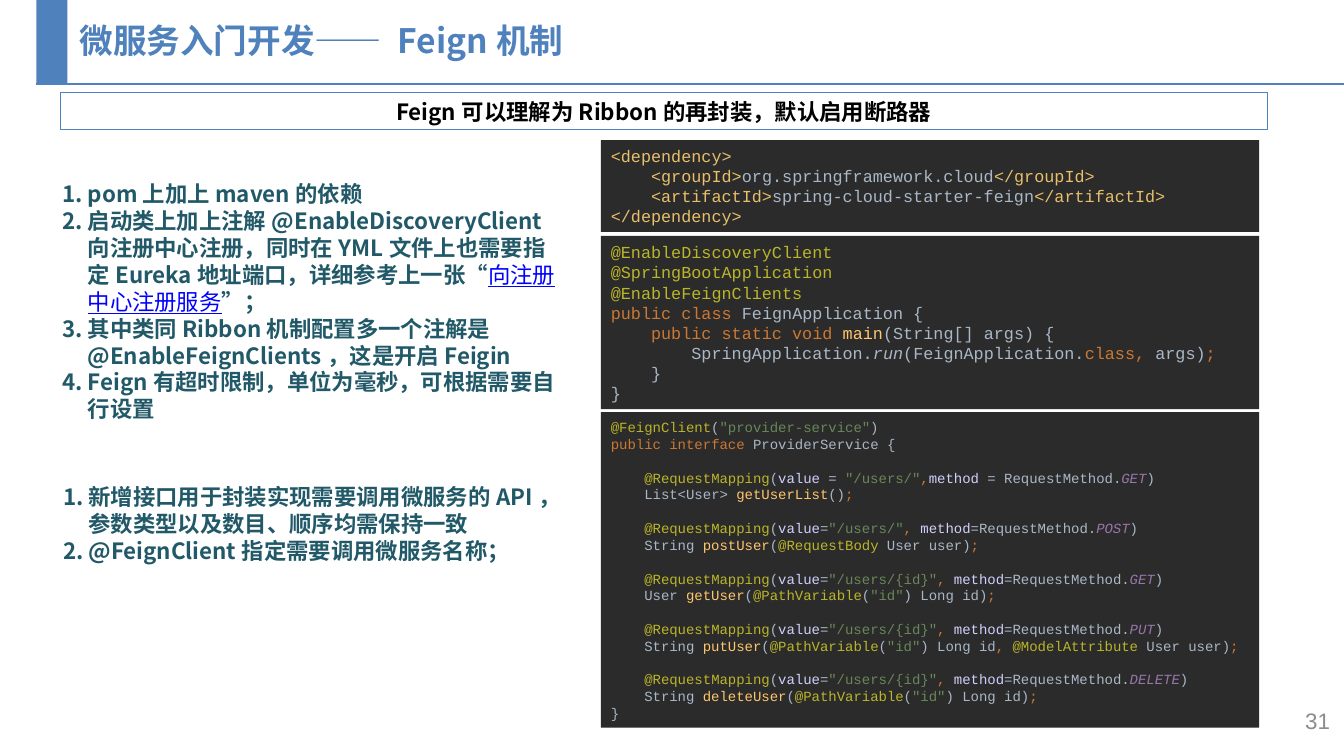
import pptx
import pptx.util
import pptx.dml.color
import pptx.enum.shapes
import pptx.enum.text
import pptx.oxml.ns
import lxml.etree

Inches = pptx.util.Inches
ALIGN = pptx.enum.text.PP_ALIGN
ANCHOR = pptx.enum.text.MSO_ANCHOR
SHAPE = pptx.enum.shapes.MSO_SHAPE
qn = pptx.oxml.ns.qn

COLORS = {"accent": "4F81BD", "page": "8C8C8C", "black": "000000", "white": "FFFFFF",
          "step": "215968", "link": "0000FF", "editor": "2B2B2B"}
# Code colours, keyed by the letter that follows "~" in the listings
SYNTAX = {"t": "E8BF6A", "p": "A9B7C6", "i": "A9B7C6", "a": "BBB529", "k": "CC7832",
          "f": "FFC66D", "s": "6A8759", "v": "D0D0FF", "c": "9876AA"}
ITALIC = "ic"
CJK, SANS, MONO = "Noto Sans CJK SC", "Arial", "Courier New"

# Content
TITLE = "微服务入门开发—— Feign机制"
SUMMARY = "Feign可以理解为Ribbon的再封装，默认启用断路器"
PAGE = "31"

# "|" encloses linked words
SETUP_STEPS = [
    "pom上加上maven的依赖",
    "启动类上加上注解@EnableDiscoveryClient向注册中心注册，同时在YML文件上也需要指定"
    "Eureka地址端口，详细参考上一张“|向注册中心注册服务|”；",
    "其中类同Ribbon机制配置多一个注解是@EnableFeignClients，这是开启Feigin",
    "Feign有超时限制，单位为毫秒，可根据需要自行设置",
]
CLIENT_STEPS = [
    "新增接口用于封装实现需要调用微服务的API，参数类型以及数目、顺序均需保持一致",
    "@FeignClient指定需要调用微服务名称；",
]
STEP_LISTS = [((0.57, 1.55, 5.04, 2.88), SETUP_STEPS),
              ((0.58, 4.22, 5.04, 1.95), CLIENT_STEPS)]

DEPENDENCY = [
    "~t<dependency>",
    "~t    <groupId>~porg.springframework.cloud~t</groupId>",
    "~t    <artifactId>~pspring-cloud-starter-feign~t</artifactId>",
    "~t</dependency>",
]
APPLICATION = [
    "~a@EnableDiscoveryClient",
    "~a@SpringBootApplication",
    "~a@EnableFeignClients",
    "~kpublic class ~pFeignApplication {",
    "~k    public static void ~fmain~p(String[] args) {",
    "~p        SpringApplication.~irun~p(FeignApplication.~kclass, ~pargs)~k;",
    "~p    }",
    "~p}",
]
ID_ARG = '~a@PathVariable~p(~s"id"~p) Long id'
# Spaced or tight mapping, URL, verb, return type, method, arguments
ENDPOINTS = [
    ("~vvalue ~p= {}~k,~vmethod ~p= ", "/users/", "GET", "List<User>", "getUserList", ""),
    ("~vvalue~p={}~k, ~vmethod~p=", "/users/", "POST", "String", "postUser",
     "~a@RequestBody ~pUser user"),
    ("~vvalue~p={}~k, ~vmethod~p=", "/users/{id}", "GET", "User", "getUser", ID_ARG),
    ("~vvalue~p={}~k, ~vmethod~p=", "/users/{id}", "PUT", "String", "putUser",
     ID_ARG + "~k, ~a@ModelAttribute ~pUser user"),
    ("~vvalue~p={}~k, ~vmethod~p=", "/users/{id}", "DELETE", "String", "deleteUser", ID_ARG),
]
SERVICE = ['~a@FeignClient~p(~s"provider-service"~p)',
           "~kpublic interface ~pProviderService {"]
for mapping, url, verb, result, method, arguments in ENDPOINTS:
    settings = mapping.format(f'~s"{url}"')
    SERVICE += ["",
                f"~a    @RequestMapping~p({settings}RequestMethod.~c{verb}~p)",
                f"~p    {result} ~f{method}~p({arguments}~p)~k;"]
SERVICE.append("~p}")

# Top, height, text size, lines
LISTINGS = [(1.39, 0.91, 12, DEPENDENCY),
            (2.34, 1.72, 12, APPLICATION),
            (4.09, 3.13, 10, SERVICE)]
LISTING_LEFT, LISTING_WIDTH = 5.96, 6.53


def rgb(color):
    return pptx.dml.color.RGBColor.from_string(color)


def style(font, name, size, color, bold=False):
    font.name, font.size, font.bold = name, pptx.util.Pt(size), bold
    font.color.rgb = rgb(color)
    if name == CJK:
        latin = font._element.find(qn("a:latin"))
        east_asian = lxml.etree.Element(qn("a:ea"), typeface=name)
        latin.addnext(east_asian)


def prepare(frame, anchor=ANCHOR.TOP):
    frame.word_wrap = True
    frame.vertical_anchor = anchor
    return frame


def add_text(box, anchor=ANCHOR.TOP):
    return prepare(slide.shapes.add_textbox(*map(Inches, box)).text_frame, anchor)


def add_box(box, fill=None, line=None):
    shape = slide.shapes.add_shape(SHAPE.RECTANGLE, *map(Inches, box))
    shape.shadow.inherit = False
    if fill:
        shape.fill.solid()
        shape.fill.fore_color.rgb = rgb(fill)
    else:
        shape.fill.background()
    if line:
        shape.line.color.rgb = rgb(line)
        shape.line.width = pptx.util.Pt(0.75)
    else:
        shape.line.fill.background()
    return shape


def add_steps(box, steps):
    frame = add_text(box, ANCHOR.MIDDLE)
    frame.margin_left = frame.margin_right = Inches(0.05)
    frame.margin_top = frame.margin_bottom = Inches(0.04)
    for number, step in enumerate(steps):
        paragraph = frame.add_paragraph() if number else frame.paragraphs[0]
        properties = paragraph._p.get_or_add_pPr()
        properties.set("marL", str(Inches(0.25)))
        properties.set("indent", str(Inches(-0.25)))
        lxml.etree.SubElement(properties, qn("a:buAutoNum"), type="arabicPeriod")
        style(paragraph.font, CJK, 16, COLORS["step"], True)
        for part, words in enumerate(step.split("|")):
            run = paragraph.add_run()
            run.text = words
            if part % 2:
                style(run.font, SANS, 16, COLORS["link"])
                run.font.underline = True


def add_listing(top, height, size, lines):
    box = add_box((LISTING_LEFT, top, LISTING_WIDTH, height), COLORS["editor"])
    paragraph = prepare(box.text_frame, ANCHOR.MIDDLE).paragraphs[0]
    paragraph.alignment = ALIGN.LEFT
    style(paragraph.font, MONO, size, SYNTAX["p"])
    for number, line in enumerate(lines):
        if number:
            paragraph.add_line_break()
        for token in line.split("~")[1:]:
            if len(token) > 1:
                run = paragraph.add_run()
                run.text = token[1:]
                run.font.color.rgb = rgb(SYNTAX[token[0]])
                if token[0] in ITALIC:
                    run.font.italic = True
    # Line breaks carry the text size so that empty lines keep their height
    for line_break in paragraph._p.findall(qn("a:br")):
        properties = lxml.etree.SubElement(line_break, qn("a:rPr"), sz=str(size * 100))
        lxml.etree.SubElement(properties, qn("a:latin"), typeface=MONO)


presentation = pptx.Presentation()
presentation.slide_width, presentation.slide_height = Inches(13.33), Inches(7.5)
slide = presentation.slides.add_slide(presentation.slide_layouts[6])
slide.background.fill.solid()
slide.background.fill.fore_color.rgb = rgb(COLORS["white"])

# Header rule and tab
rule = slide.shapes.add_connector(pptx.enum.shapes.MSO_CONNECTOR.STRAIGHT,
                                  Inches(0.36), Inches(0.83), Inches(13.33), Inches(0.83))
rule.line.color.rgb = rgb(COLORS["accent"])
rule.line.width = pptx.util.Pt(1.5)
lxml.etree.SubElement(rule._element.spPr, qn("a:effectLst"))
add_box((0.36, 0, 0.31, 0.83), COLORS["accent"])

# Page number
page = add_text((10.29, 6.95, 3, 0.4), ANCHOR.MIDDLE).paragraphs[0]
page.text, page.alignment = PAGE, ALIGN.RIGHT
style(page.font, SANS, 16, COLORS["page"])

# Title
title = add_text((0.69, 0.19, 10.99, 0.54)).paragraphs[0]
title.text, title.line_spacing = TITLE, 0.9
style(title.font, CJK, 24, COLORS["accent"], True)

# Summary bar
summary_bar = add_box((0.6, 0.92, 11.97, 0.37), line=COLORS["accent"])
summary = prepare(summary_bar.text_frame).paragraphs[0]
summary.text, summary.alignment = SUMMARY, ALIGN.CENTER
style(summary.font, CJK, 16, COLORS["black"], True)

# Steps and code
for box, steps in STEP_LISTS:
    add_steps(box, steps)
for listing in LISTINGS:
    add_listing(*listing)

presentation.save("out.pptx")
